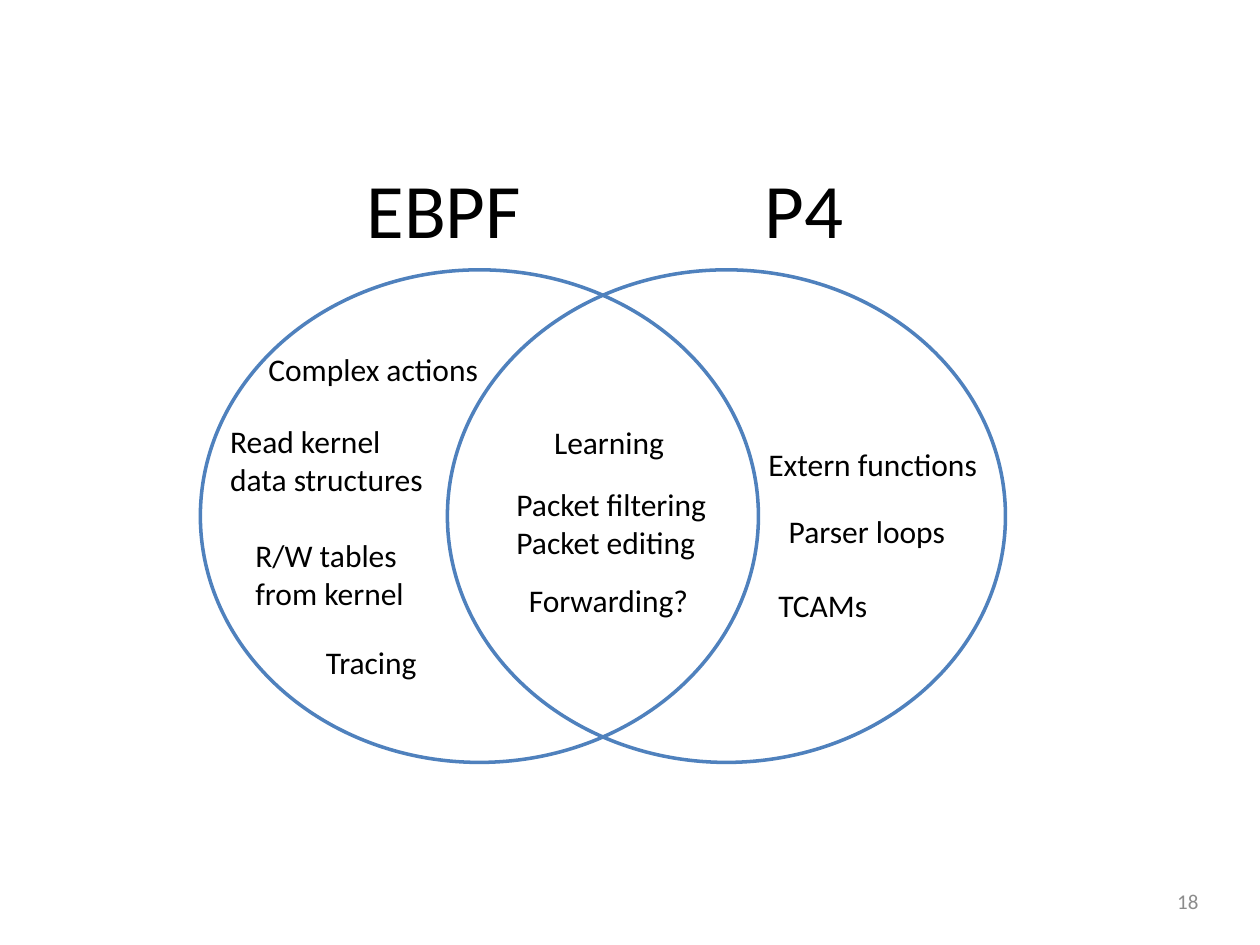
"""Draw a two-set Venn slide that compares EBPF and P4."""
from dataclasses import dataclass

from lxml.etree import SubElement
from pptx import Presentation
from pptx.dml.color import RGBColor
from pptx.enum.shapes import MSO_SHAPE
from pptx.enum.text import MSO_ANCHOR, MSO_AUTO_SIZE, PP_ALIGN
from pptx.oxml.ns import qn
from pptx.slide import Slide
from pptx.text.text import TextFrame
from pptx.util import Cm, Pt

FONT = "Calibri"
BLACK, BLUE, GREY = "000000", "4F81BD", "8C8C8C"


@dataclass
class Label:
    text: str
    left: float
    top: float
    width: float


LABELS = [
    Label("TCAMs", 15.44, 11.68, 2.31),
    Label("Parser loops", 15.65, 10.19, 3.73),
    Label("Packet filtering\nPacket editing", 10.16, 9.65, 4.39),
    Label("Complex actions", 5.16, 6.93, 4.8),
    Label("R/W tables\nfrom kernel", 4.9, 10.69, 3.56),
    Label("Tracing", 6.32, 12.83, 2.41),
    Label("Read kernel\ndata structures", 4.39, 8.38, 4.5),
    Label("Forwarding?", 10.41, 11.58, 3.76),
    Label("Learning", 10.92, 8.41, 2.74),
    Label("Extern functions", 15.24, 8.84, 4.78),
]


def color(code: str) -> RGBColor:
    """Turn a hex string into a colour."""
    return RGBColor.from_string(code)


def style(frame: TextFrame, size: float, code: str, align: PP_ALIGN) -> None:
    """Format every run of a text frame."""
    for para in frame.paragraphs:
        para.alignment = align
        for run in para.runs:
            run.font.name = FONT
            run.font.size = Pt(size)
            run.font.color.rgb = color(code)


def add_title(slide: Slide) -> None:
    """Put both set names in the title, parted by a tab stop."""
    title = slide.shapes.title
    title.left, title.top = Cm(0.76), Cm(2.59)
    title.width, title.height = Cm(22.86), Cm(3.18)
    frame = title.text_frame
    frame.margin_left = Cm(6.63)
    frame.vertical_anchor = MSO_ANCHOR.MIDDLE
    frame.text = "EBPF\tP4"
    props = frame.paragraphs[0]._p.get_or_add_pPr()
    stops = SubElement(props, qn("a:tabLst"))
    SubElement(stops, qn("a:tab"), pos=str(Cm(8.03)), algn="l")
    style(frame, 44, BLACK, PP_ALIGN.LEFT)


def add_ring(slide: Slide, left: float) -> None:
    """Draw one unfilled set outline."""
    ring = slide.shapes.add_shape(
        MSO_SHAPE.OVAL, Cm(left), Cm(5.44), Cm(11.25), Cm(9.93))
    ring.shadow.inherit = False
    ring.fill.background()
    ring.line.color.rgb = color(BLUE)
    ring.line.width = Pt(2)


def add_label(slide: Slide, label: Label) -> None:
    """Write one label that grows with its lines."""
    height = 1.8 if "\n" in label.text else 1.02
    box = slide.shapes.add_textbox(
        Cm(label.left), Cm(label.top), Cm(label.width), Cm(height))
    frame = box.text_frame
    frame.text = label.text
    frame.word_wrap = False
    frame.auto_size = MSO_AUTO_SIZE.SHAPE_TO_FIT_TEXT
    style(frame, 18, BLACK, PP_ALIGN.LEFT)


def add_number(slide: Slide, text: str) -> None:
    """Write the page number in the lower right corner."""
    box = slide.shapes.add_textbox(Cm(21.77), Cm(17.65), Cm(2.64), Cm(1.02))
    frame = box.text_frame
    frame.text = text
    frame.word_wrap = True
    frame.vertical_anchor = MSO_ANCHOR.MIDDLE
    style(frame, 12, GREY, PP_ALIGN.RIGHT)


def main() -> None:
    """Build and save the slide."""
    deck = Presentation()
    deck.slide_width, deck.slide_height = Cm(25.4), Cm(19.05)
    slide = deck.slides.add_slide(deck.slide_layouts[5])
    add_title(slide)
    for left in (9.02, 4.04):
        add_ring(slide, left)
    for label in LABELS:
        add_label(slide, label)
    add_number(slide, "18")
    deck.save("out.pptx")


if __name__ == "__main__":
    main()
